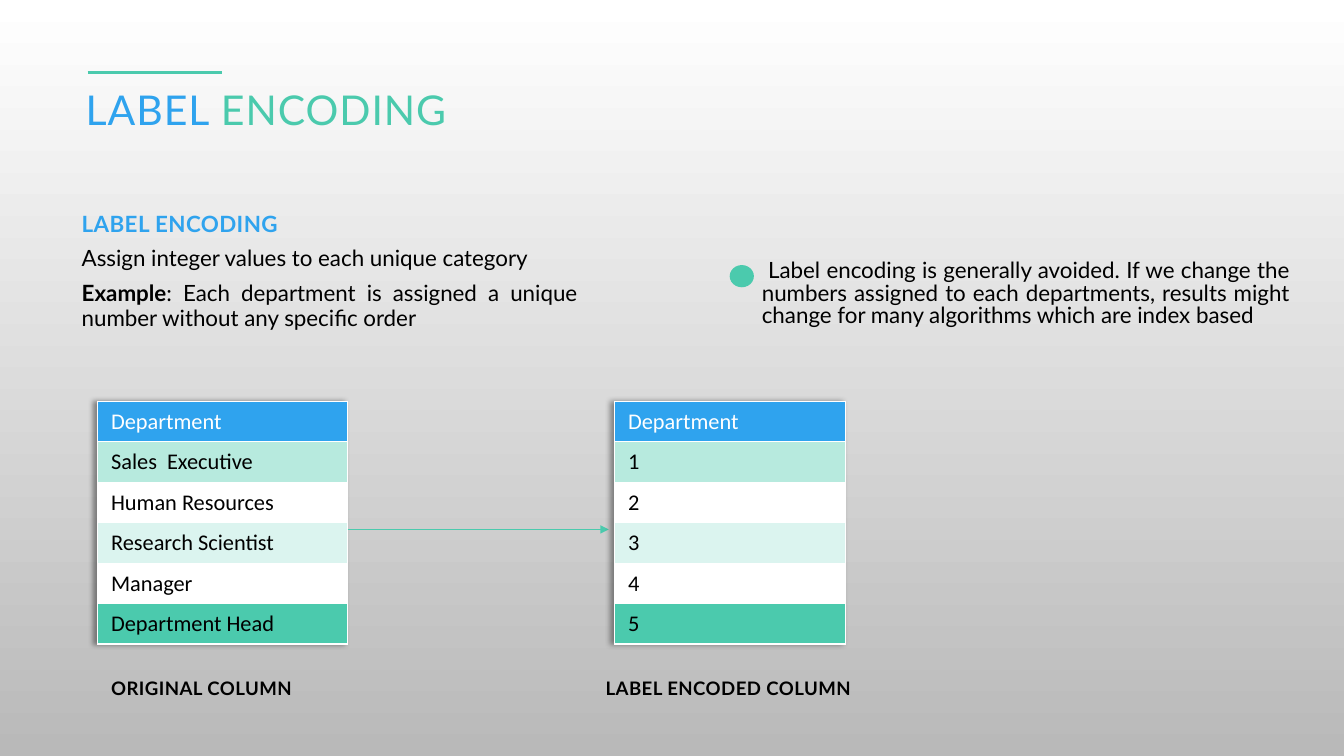
from lxml import etree
from pptx import Presentation
from pptx import util as u
from pptx.dml.color import RGBColor
from pptx.enum import shapes, text
from pptx.oxml import parse_xml
from pptx.oxml.ns import nsdecls, qn

BLUE, TEAL, BLACK, WHITE = "2FA3EE", "4BCAAD", "000000", "FFFFFF"
ROW_FILLS = [BLUE, "B7EADE", WHITE, "DBF4EF", WHITE, TEAL]
ROW_HEIGHT = 1.02
TABLE_TOP = 10.11
CAPTION_TOP = 16.81


def rgb(color):
    return RGBColor.from_string(color)


def place(shape, left, top, width, height):
    shape.left, shape.top = u.Cm(left), u.Cm(top)
    shape.width, shape.height = u.Cm(width), u.Cm(height)


def write(frame, paragraphs, size=16, font="Lato", color=BLACK, bold=False, tracking=0,
          align=text.PP_ALIGN.LEFT, line=None, after=0, margins=(0, 0)):
    """Fill a frame; each paragraph is a list of (text, format overrides) runs."""
    frame.word_wrap = True
    frame.margin_left = frame.margin_right = u.Cm(margins[0])
    frame.margin_top = frame.margin_bottom = u.Cm(margins[1])
    for index, runs in enumerate(paragraphs):
        paragraph = frame.paragraphs[0] if index == 0 else frame.add_paragraph()
        paragraph.alignment = align
        paragraph.space_after = u.Pt(after)
        if line:
            paragraph.line_spacing = u.Pt(line)
        for words, changes in runs:
            run = paragraph.add_run()
            run.text = words
            run.font.name = font
            run.font.size = u.Pt(size)
            run.font.bold = changes.get("bold", bold)
            run.font.color.rgb = rgb(changes.get("color", color))
            if tracking:
                run.font._element.set("spc", str(round(tracking * 100)))


def add_text(slide, box, paragraphs, **formats):
    frame = slide.shapes.add_textbox(*map(u.Cm, box)).text_frame
    write(frame, paragraphs, after=8, **formats)


def add_title(slide):
    title = slide.shapes.title
    place(title, 2.16, 2.13, 29.46, 1.42)
    frame = title.text_frame
    frame.auto_size = text.MSO_AUTO_SIZE.NONE
    frame.vertical_anchor = text.MSO_ANCHOR.TOP
    write(frame, [[("LABEL ", {"color": BLUE}), ("ENCODING", {"color": TEAL})]],
          size=29.3, tracking=0.7)


def add_level_line(slide, start, end, top, width, arrow=False):
    line = slide.shapes.add_connector(
        shapes.MSO_CONNECTOR.STRAIGHT, u.Cm(start), u.Cm(top), u.Cm(end), u.Cm(top))
    line.line.color.rgb = rgb(TEAL)
    line.line.width = u.Pt(width)
    if arrow:
        etree.SubElement(line.line._get_or_add_ln(), qn("a:tailEnd"), type="triangle")
    etree.SubElement(line._element.spPr, qn("a:effectLst"))


def add_dot(slide, box):
    dot = slide.shapes.add_shape(shapes.MSO_SHAPE.OVAL, *map(u.Cm, box))
    dot.shadow.inherit = False
    dot.fill.solid()
    dot.fill.fore_color.rgb = rgb(TEAL)
    dot.line.fill.background()


def set_borders(cell):
    properties = cell._tc.get_or_add_tcPr()
    for index, side in enumerate("LRTB"):
        properties.insert(index, parse_xml(
            f'<a:ln{side} {nsdecls("a")} w="12700"><a:solidFill>'
            f'<a:srgbClr val="{WHITE}"/></a:solidFill></a:ln{side}>'))


def add_column_table(slide, left, width, entries):
    """Add a one-column table with a soft shadow on its left."""
    table = slide.shapes.add_table(
        len(entries), 1, u.Cm(left), u.Cm(TABLE_TOP), u.Cm(width),
        u.Cm(ROW_HEIGHT * len(entries))).table
    table._tbl.tblPr.insert(0, parse_xml(
        f'<a:effectLst {nsdecls("a")}><a:outerShdw blurRad="50800" dist="38100" '
        'dir="10800000" algn="r" rotWithShape="0"><a:srgbClr val="000000">'
        '<a:alpha val="40000"/></a:srgbClr></a:outerShdw></a:effectLst>'))
    for row, (entry, fill) in enumerate(zip(entries, ROW_FILLS)):
        table.rows[row].height = u.Cm(ROW_HEIGHT)
        cell = table.cell(row, 0)
        cell.fill.solid()
        cell.fill.fore_color.rgb = rgb(fill)
        set_borders(cell)
        write(cell.text_frame, [[(entry, {})]], font="Calibri",
              color=BLACK if row else WHITE)
        cell.margin_left = cell.margin_right = u.Cm(0.34)
        cell.margin_top = cell.margin_bottom = u.Cm(0.17)


def set_background(slide):
    fill = slide.background.fill
    fill.gradient()
    fill.gradient_angle = 270
    for stop, position, color in zip(fill.gradient_stops, (0, 1), (WHITE, "B9B9B9")):
        stop.position = position
        stop.color.rgb = rgb(color)


def main():
    deck = Presentation()
    deck.slide_width, deck.slide_height = u.Cm(33.87), u.Cm(19.05)
    slide = deck.slides.add_slide(deck.slide_layouts[5])
    set_background(slide)

    add_level_line(slide, 2.21, 5.59, 1.83, 2.25)
    add_title(slide)
    add_text(slide, (2.06, 6.22, 12.5, 2.11), [
        [("Assign integer values to each unique category", {})],
        [("Example", {"bold": True}),
         (": Each department is assigned a unique number without any specific order", {})],
    ], align=text.PP_ALIGN.JUSTIFY, line=17.3)
    add_text(slide, (2.06, 5.16, 11.07, 0.81), [[("LABEL ENCODING", {})]],
             color=BLUE, bold=True, tracking=0.3, line=22.7)
    add_dot(slide, (18.39, 6.68, 0.61, 0.56))
    add_text(slide, (19.2, 6.58, 13.31, 2.29), [[(
        " Label encoding is generally avoided. If we change the numbers assigned to each "
        "departments, results might change for many algorithms which are index based", {})]],
        align=text.PP_ALIGN.JUSTIFY, line=16)

    add_column_table(slide, 2.46, 6.3, [
        "Department", "Sales  Executive", "Human Resources", "Research Scientist",
        "Manager", "Department Head"])
    add_level_line(slide, 8.76, 15.34, 13.34, 0.75, arrow=True)
    add_column_table(slide, 15.49, 5.82, ["Department", "1", "2", "3", "4", "5"])
    for left, width, caption in ((2.21, 5.87, "ORIGINAL COLUMN "),
                                 (14.99, 6.86, "LABEL ENCODED COLUMN ")):
        add_text(slide, (left, CAPTION_TOP, width, 0.81), [[(caption, {})]], size=13.3,
                 bold=True, tracking=0.3, align=text.PP_ALIGN.CENTER, line=22.7)
    deck.save("out.pptx")


if __name__ == "__main__":
    main()
